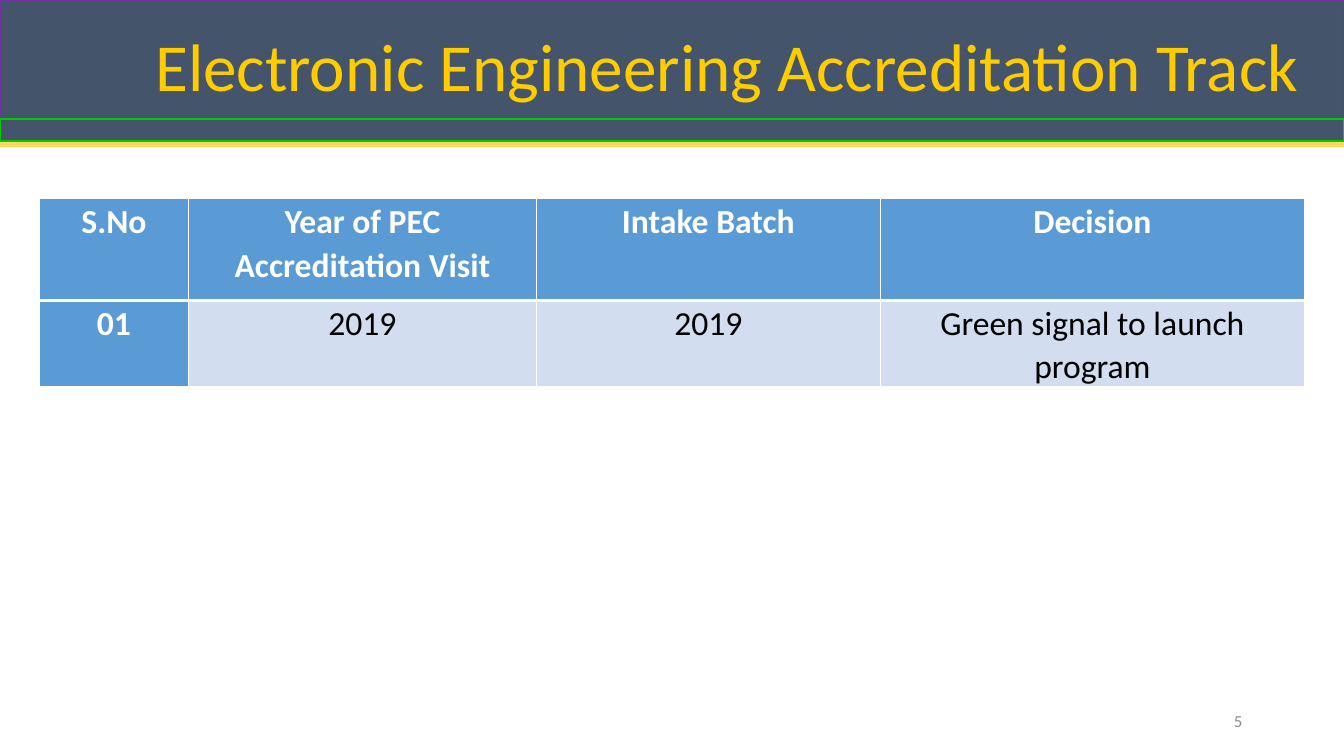
from lxml import etree
from pptx import Presentation
from pptx.dml.color import RGBColor
from pptx.enum.shapes import MSO_CONNECTOR, MSO_SHAPE
from pptx.enum.text import MSO_ANCHOR, MSO_AUTO_SIZE, PP_ALIGN
from pptx.oxml.ns import qn
from pptx.util import Inches, Pt

RECTANGLE = MSO_SHAPE.RECTANGLE
STRAIGHT = MSO_CONNECTOR.STRAIGHT
MIDDLE = MSO_ANCHOR.MIDDLE
NO_AUTOFIT = MSO_AUTO_SIZE.NONE
LEFT, CENTER, RIGHT = PP_ALIGN.LEFT, PP_ALIGN.CENTER, PP_ALIGN.RIGHT

SLIDE_WIDTH, SLIDE_HEIGHT = 13.33, 7.5
FONT = "Calibri"
SLATE, GOLD, PALE_GOLD = "44546A", "FFCC00", "FFD85B"
PURPLE, GREEN, GRAY = "7030A0", "00CC00", "8C8C8C"
BLUE, PALE_BLUE, WHITE, BLACK = "5B9BD5", "D2DEEF", "FFFFFF", "000000"

COLUMN_WIDTHS = (1.48, 3.45, 3.41, 4.21)
ROW_HEIGHTS = (1.01, 0.78)
ACCREDITATION_ROWS = (
    ("S.No", "Year of PEC Accreditation Visit", "Intake Batch", "Decision"),
    ("01", "2019", "2019", "Green signal to launch program"),
)


def color(hex_string):
    return RGBColor.from_string(hex_string)


def write(text_frame, text, size, hex_color, alignment, bold=False):
    """Write one formatted run and return its paragraph."""
    text_frame.word_wrap = True
    paragraph = text_frame.paragraphs[0]
    paragraph.alignment = alignment
    run = paragraph.add_run()
    run.text = text
    run.font.name = FONT
    run.font.size = Pt(size)
    run.font.bold = bold
    run.font.color.rgb = color(hex_color)
    return paragraph


def place(shape, left, top, width, height):
    shape.left, shape.top = Inches(left), Inches(top)
    shape.width, shape.height = Inches(width), Inches(height)


def add_band(slide, top, height, outline):
    band = slide.shapes.add_shape(
        RECTANGLE, 0, Inches(top), Inches(SLIDE_WIDTH), Inches(height))
    band.shadow.inherit = False
    band.fill.solid()
    band.fill.fore_color.rgb = color(SLATE)
    band.line.color.rgb = color(outline)
    band.line.width = Pt(1)


def add_rule(slide, top):
    rule = slide.shapes.add_connector(
        STRAIGHT, 0, Inches(top), Inches(SLIDE_WIDTH), Inches(top))
    rule.line.color.rgb = color(PALE_GOLD)
    rule.line.width = Pt(3.75)
    etree.SubElement(rule.element.spPr, qn("a:effectLst"))


def add_title(slide, text):
    """Fill the title placeholder and bring it in front of the bands."""
    title = slide.shapes.title
    place(title, 1.44, 0.16, 11.8, 1.06)
    frame = title.text_frame
    frame.auto_size = NO_AUTOFIT
    frame.vertical_anchor = MIDDLE
    paragraph = write(frame, text, 48, GOLD, LEFT)
    paragraph.line_spacing = 0.9
    title.element.getparent().append(title.element)


def add_page_number(slide, text):
    box = slide.shapes.add_textbox(
        Inches(9.42), Inches(6.95), Inches(3), Inches(0.4))
    box.text_frame.vertical_anchor = MIDDLE
    write(box.text_frame, text, 12, GRAY, RIGHT)


def set_borders(cell, top, bottom):
    """Draw white borders; top and bottom widths are in points."""
    properties = cell._tc.get_or_add_tcPr()
    sides = (("L", 1), ("R", 1), ("T", top), ("B", bottom))
    for position, (side, width) in enumerate(sides):
        line = etree.Element(qn(f"a:ln{side}"), w=str(Pt(width)))
        fill = etree.SubElement(line, qn("a:solidFill"))
        etree.SubElement(fill, qn("a:srgbClr"), val=WHITE)
        properties.insert(position, line)


def format_cell(cell, text, is_header, top, bottom):
    cell.margin_left = cell.margin_right = Inches(0.07)
    cell.margin_top = cell.margin_bottom = 0
    cell.fill.solid()
    cell.fill.fore_color.rgb = color(BLUE if is_header else PALE_BLUE)
    set_borders(cell, top, bottom)
    text_color = WHITE if is_header else BLACK
    paragraph = write(cell.text_frame, text, 24, text_color, CENTER, is_header)
    paragraph.line_spacing = 1.07


def add_accreditation_table(slide):
    table = slide.shapes.add_table(
        len(ROW_HEIGHTS), len(COLUMN_WIDTHS), Inches(0.39), Inches(1.97),
        Inches(sum(COLUMN_WIDTHS)), Inches(sum(ROW_HEIGHTS))).table
    for column, width in zip(table.columns, COLUMN_WIDTHS):
        column.width = Inches(width)
    for row, height in zip(table.rows, ROW_HEIGHTS):
        row.height = Inches(height)
    for row_index, texts in enumerate(ACCREDITATION_ROWS):
        top, bottom = (1, 3) if row_index == 0 else (3, 1)
        for column_index, text in enumerate(texts):
            is_header = row_index == 0 or column_index == 0
            cell = table.cell(row_index, column_index)
            format_cell(cell, text, is_header, top, bottom)


def main():
    presentation = Presentation()
    presentation.slide_width = Inches(SLIDE_WIDTH)
    presentation.slide_height = Inches(SLIDE_HEIGHT)
    title_only = presentation.slide_layouts.get_by_name("Title Only")
    slide = presentation.slides.add_slide(title_only)
    add_rule(slide, 1.43)
    add_band(slide, 0, 1.2, PURPLE)
    add_band(slide, 1.18, 0.22, GREEN)
    add_title(slide, "Electronic Engineering Accreditation Track")
    add_page_number(slide, "5")
    add_accreditation_table(slide)
    presentation.save("out.pptx")


if __name__ == "__main__":
    main()
